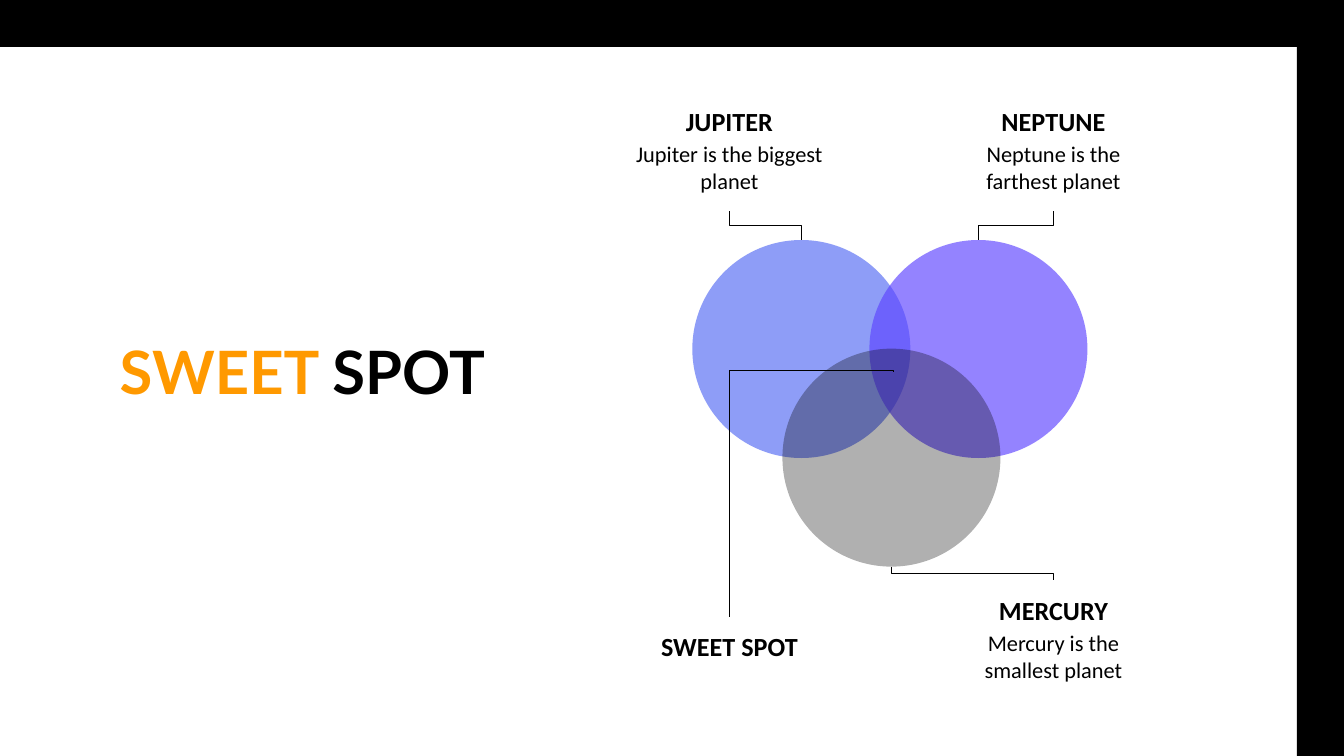
from typing import NamedTuple

from lxml import etree
from pptx import Presentation
from pptx.dml.color import RGBColor
from pptx.enum.shapes import MSO_CONNECTOR as Connector, MSO_SHAPE as Shape
from pptx.enum.text import MSO_ANCHOR as Anchor, PP_ALIGN as Align
from pptx.oxml.ns import qn
from pptx.util import Pt

WHITE = RGBColor(0xFF, 0xFF, 0xFF)
BLACK = RGBColor(0, 0, 0)
ORANGE = RGBColor(0xFF, 0x99, 0x00)
BLUE = RGBColor(0x8E, 0x9D, 0xF7)
VIOLET = RGBColor(0x5D, 0x44, 0xFF)

SLIDE_WIDTH, SLIDE_HEIGHT = 720, 405
BAR = 25.2
DIAMETER = 116.8
LABEL_WIDTH = 116.8
HEADING_HEIGHT, BODY_HEIGHT, BODY_OFFSET = 34.6, 45.4, 18.7
INSET = 7.2


class Circle(NamedTuple):
    left: float
    top: float
    color: RGBColor
    opacity: int = 100

    @property
    def center_x(self) -> float:
        return self.left + DIAMETER / 2


class Label(NamedTuple):
    left: float
    top: float
    heading: str
    body: str = ""
    width: float = LABEL_WIDTH

    @property
    def center_x(self) -> float:
        return self.left + self.width / 2

    @property
    def bottom(self) -> float:
        return self.top + BODY_OFFSET + BODY_HEIGHT


class Link(NamedTuple):
    start: tuple[float, float]
    end: tuple[float, float]
    bend: float = 0.5


JUPITER = Circle(370.9, 128.6, BLUE)
NEPTUNE = Circle(465.8, 128.6, VIOLET, 66)
MERCURY = Circle(419.2, 186.8, BLACK, 31)

JUPITER_LABEL = Label(332.4, 49, "JUPITER", "Jupiter is the biggest planet")
NEPTUNE_LABEL = Label(506, 49, "NEPTUNE", "Neptune is the farthest planet")
MERCURY_LABEL = Label(506, 311, "MERCURY", "Mercury is the smallest planet")
SWEET_LABEL = Label(326.3, 330.3, "SWEET SPOT", width=129)

LINKS = [
    Link((JUPITER_LABEL.center_x, JUPITER_LABEL.bottom), (JUPITER.center_x, JUPITER.top)),
    Link((NEPTUNE_LABEL.center_x, NEPTUNE_LABEL.bottom), (NEPTUNE.center_x, NEPTUNE.top)),
    Link((SWEET_LABEL.center_x, SWEET_LABEL.top), (478.6, 199.1), 1.005),
    Link((MERCURY.center_x, MERCURY.top + DIAMETER), (MERCURY_LABEL.center_x, MERCURY_LABEL.top)),
]


def add_filled(slide, kind, left: float, top: float, width: float, height: float,
               color: RGBColor, opacity: int = 100) -> None:
    shape = slide.shapes.add_shape(kind, Pt(left), Pt(top), Pt(width), Pt(height))
    shape.shadow.inherit = False
    shape.fill.solid()
    shape.fill.fore_color.rgb = color
    shape.line.fill.background()
    if opacity < 100:
        color_element = shape._element.spPr.find(f"{qn('a:solidFill')}/{qn('a:srgbClr')}")
        etree.SubElement(color_element, qn("a:alpha"), val=str(opacity * 1000))


def add_text(slide, left: float, top: float, width: float, height: float,
             runs: list[tuple[str, RGBColor]], *, size: float, font: str = "Calibri",
             bold: bool = False, align=Align.CENTER, anchor=Anchor.TOP,
             line_spacing: float = 1.0) -> None:
    box = slide.shapes.add_textbox(Pt(left), Pt(top), Pt(width), Pt(height))
    frame = box.text_frame
    frame.word_wrap = True
    frame.vertical_anchor = anchor
    frame.margin_left = frame.margin_right = Pt(INSET)
    frame.margin_top = frame.margin_bottom = Pt(INSET)
    paragraph = frame.paragraphs[0]
    paragraph.alignment = align
    paragraph.line_spacing = line_spacing
    for text, color in runs:
        run = paragraph.add_run()
        run.text = text
        run.font.name = font
        run.font.size = Pt(size)
        run.font.bold = bold
        run.font.color.rgb = color


def add_label(slide, label: Label) -> None:
    add_text(slide, label.left, label.top, label.width, HEADING_HEIGHT,
             [(label.heading, BLACK)], size=14, bold=True)
    if label.body:
        add_text(slide, label.left, label.top + BODY_OFFSET, label.width, BODY_HEIGHT,
                 [(label.body, BLACK)], size=12)


def add_link(slide, link: Link) -> None:
    """Draw an elbow that leaves vertically: a horizontal elbow turned a quarter."""
    (start_x, start_y), (end_x, end_y) = link.start, link.end
    run, rise = end_x - start_x, end_y - start_y
    center_x, center_y = (start_x + end_x) / 2, (start_y + end_y) / 2
    half_width = abs(rise) / 2 * (-1 if run * rise > 0 else 1)
    half_height = abs(run) / 2
    connector = slide.shapes.add_connector(
        Connector.ELBOW,
        Pt(center_x - half_width), Pt(center_y - half_height),
        Pt(center_x + half_width), Pt(center_y + half_height))
    connector.line.color.rgb = BLACK
    connector.line.width = Pt(0.75)
    properties = connector._element.spPr
    properties.find(qn("a:xfrm")).set("rot", str((270 if run > 0 else 90) * 60000))
    adjustments = properties.find(f"{qn('a:prstGeom')}/{qn('a:avLst')}")
    etree.SubElement(adjustments, qn("a:gd"), name="adj1",
                     fmla=f"val {round(link.bend * 100000)}")
    etree.SubElement(properties, qn("a:effectLst"))


def main() -> None:
    presentation = Presentation()
    presentation.slide_width = Pt(SLIDE_WIDTH)
    presentation.slide_height = Pt(SLIDE_HEIGHT)
    slide = presentation.slides.add_slide(presentation.slide_layouts[6])
    slide.background.fill.solid()
    slide.background.fill.fore_color.rgb = WHITE

    add_filled(slide, Shape.RECTANGLE, SLIDE_WIDTH - BAR, 0, BAR, SLIDE_HEIGHT, BLACK)
    add_filled(slide, Shape.RECTANGLE, 0, 0, SLIDE_WIDTH, BAR, BLACK)
    add_text(slide, 57, 152, 245.5, 100.8, [("SWEET ", ORANGE), ("SPOT", BLACK)],
             size=32, font="Lato", bold=True, align=Align.LEFT,
             anchor=Anchor.MIDDLE, line_spacing=0.8)
    for circle in (JUPITER, NEPTUNE, MERCURY):
        add_filled(slide, Shape.OVAL, circle.left, circle.top, DIAMETER, DIAMETER,
                   circle.color, circle.opacity)
    for label in (JUPITER_LABEL, NEPTUNE_LABEL, MERCURY_LABEL, SWEET_LABEL):
        add_label(slide, label)
    for link in LINKS:
        add_link(slide, link)

    presentation.save("out.pptx")


if __name__ == "__main__":
    main()
